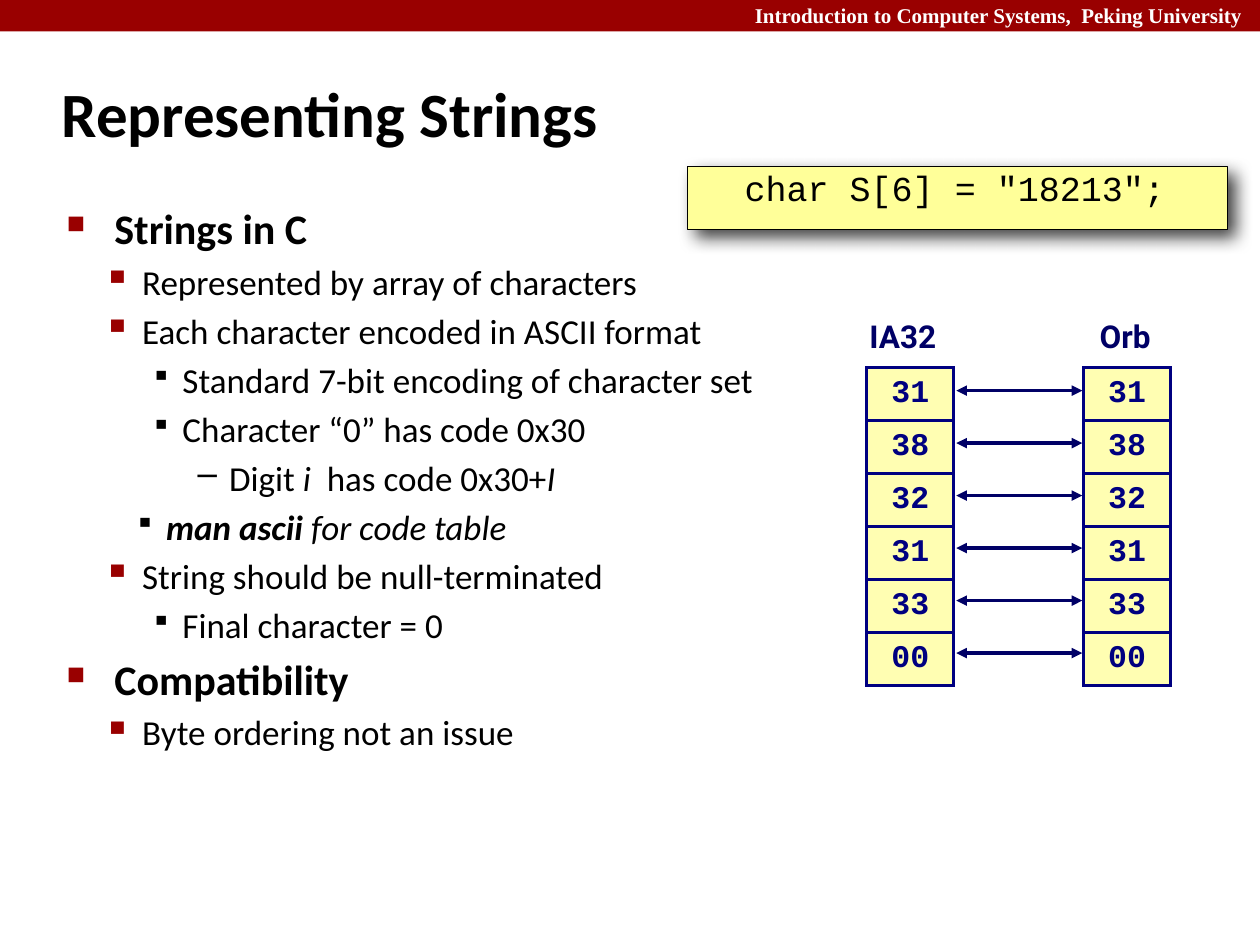
from lxml import etree
from pptx import Presentation
from pptx.dml.color import RGBColor
from pptx.enum.shapes import MSO_CONNECTOR, MSO_SHAPE
from pptx.enum.text import MSO_ANCHOR, PP_ALIGN
from pptx.oxml.ns import qn
from pptx.util import Inches, Pt

RECT = MSO_SHAPE.RECTANGLE
STRAIGHT = MSO_CONNECTOR.STRAIGHT
LEFT, CENTER, RIGHT = PP_ALIGN.LEFT, PP_ALIGN.CENTER, PP_ALIGN.RIGHT
TOP, MIDDLE = MSO_ANCHOR.TOP, MSO_ANCHOR.MIDDLE

COLORS = {
    "banner": "990000", "white": "FFFFFF", "text": "000000",
    "code": "FFFF99", "cell": "FFFEB2", "border": "000080", "label": "000066",
}

# Outline styles: level, left margin, hanging indent, bullet, its size %, its colour
TOPIC = (0, 0.38, 0.38, "■", 60, "banner")
POINT = (1, 0.6, 0.31, "▪", 110, "banner")
DETAIL = (2, 0.92, 0.25, "▪", 80, "text")
ASIDE = (2, 0.79, 0.25, "▪", 80, "text")
DASH = (3, 1.29, 0.25, "–", 100, "text")

# Each run is its text and its style: b for bold, i for italic
OUTLINE = [
    (TOPIC, [("Strings in C", "b")]),
    (POINT, [("Represented by array of characters", "")]),
    (POINT, [("Each character encoded in ASCII format", "")]),
    (DETAIL, [("Standard 7-bit encoding of character set", "")]),
    (DETAIL, [("Character “0” has code 0x30", "")]),
    (DASH, [("Digit ", ""), ("i", "i"), ("  has code 0x30+", ""), ("I", "i")]),
    (ASIDE, [("man ascii", "bi"), (" for code table", "i")]),
    (POINT, [("String should be null-terminated", "")]),
    (DETAIL, [("Final character = 0", "")]),
    (TOPIC, [("Compatibility", "b")]),
    (POINT, [("Byte ordering not an issue", "")]),
]
STRING_BYTES = ["31", "38", "32", "31", "33", "00"]


def rgb(name):
    return RGBColor.from_string(COLORS[name])


def add_xml(parent, tag, **attributes):
    return etree.SubElement(parent, qn(tag), attributes)


def add_run(paragraph, text, size, font, color, style=""):
    run = paragraph.add_run()
    run.text = text
    run.font.size = Pt(size)
    run.font.name = font
    run.font.color.rgb = rgb(color)
    run.font.bold = "b" in style
    run.font.italic = "i" in style


def set_insets(holder, left, top, right, bottom):
    holder.margin_left, holder.margin_top = Inches(left), Inches(top)
    holder.margin_right, holder.margin_bottom = Inches(right), Inches(bottom)


def add_frame(slide, box, wrap=True, anchor=TOP):
    frame = slide.shapes.add_textbox(*map(Inches, box)).text_frame
    frame.word_wrap = wrap
    frame.vertical_anchor = anchor
    return frame


def add_rectangle(slide, box, fill):
    rectangle = slide.shapes.add_shape(RECT, *map(Inches, box))
    rectangle.shadow.inherit = False
    rectangle.fill.solid()
    rectangle.fill.fore_color.rgb = rgb(fill)
    rectangle.line.fill.background()
    return rectangle


def add_banner(slide, box):
    left, top, width, height = box
    add_rectangle(slide, box, "banner")
    frame = add_frame(slide, (left + 4.5, top - 0.03, width - 4.5, height + 0.05))
    course = frame.paragraphs[0]
    course.alignment = RIGHT
    add_run(course, "Introduction to Computer Systems,  Peking University ",
            12, "Times New Roman", "white", "b")


def add_title(slide, box):
    title = add_frame(slide, box, anchor=MIDDLE).paragraphs[0]
    title.alignment = LEFT
    add_run(title, "Representing Strings", 36, "Calibri", "text", "b")


def add_code(slide, box):
    code = add_rectangle(slide, box, "code")
    code.line.color.rgb = rgb("text")
    code.line.width = Pt(0.5)
    # Soft shadow towards the lower right
    effects = code._element.spPr.find(qn("a:effectLst"))
    shadow = add_xml(effects, "a:outerShdw", blurRad=str(Pt(10)), dist=str(Pt(6)),
                     dir="2700000", algn="tl", rotWithShape="0")
    shade = add_xml(shadow, "a:srgbClr", val=COLORS["text"])
    add_xml(shade, "a:alpha", val="75000")
    frame = code.text_frame
    frame.word_wrap = True
    frame.vertical_anchor = TOP
    set_insets(frame, 0.03, 0.03, 0.07, 0.03)
    statement = frame.paragraphs[0]
    statement.alignment = CENTER
    statement.line_spacing = 0.95
    add_run(statement, 'char S[6] = "18213";', 20, "Courier New", "text")


def set_outline_style(paragraph, style, first):
    level, margin, hanging, bullet, bullet_size, bullet_color = style
    paragraph.level = level
    properties = paragraph._p.get_or_add_pPr()
    properties.set("marL", str(Inches(margin)))
    properties.set("indent", str(-Inches(hanging)))
    if not first:
        space = add_xml(properties, "a:spcBef")
        add_xml(space, "a:spcPct", val="20000")
    color = add_xml(properties, "a:buClr")
    add_xml(color, "a:srgbClr", val=COLORS[bullet_color])
    add_xml(properties, "a:buSzPct", val=str(bullet_size * 1000))
    add_xml(properties, "a:buChar", char=bullet)


def add_outline(slide, box):
    frame = add_frame(slide, box)
    for index, (style, runs) in enumerate(OUTLINE):
        entry = frame.add_paragraph() if index else frame.paragraphs[0]
        set_outline_style(entry, style, first=index == 0)
        size = 24 if style is TOPIC else 20
        for text, emphasis in runs:
            add_run(entry, text, size, "Calibri", "text", emphasis)


def add_byte_cell(cell, value):
    for side in ("a:lnL", "a:lnR", "a:lnT", "a:lnB"):
        border = add_xml(cell._tc.get_or_add_tcPr(), side, w=str(Pt(2)))
        fill = add_xml(border, "a:solidFill")
        add_xml(fill, "a:srgbClr", val=COLORS["border"])
    cell.fill.solid()
    cell.fill.fore_color.rgb = rgb("cell")
    cell.vertical_anchor = MIDDLE
    set_insets(cell, 0.06, 0.06, 0.06, 0.06)
    byte = cell.text_frame.paragraphs[0]
    byte.alignment = CENTER
    add_run(byte, value, 18, "Courier New", "border", "b")


def add_byte_column(slide, box):
    count = len(STRING_BYTES)
    table = slide.shapes.add_table(count, 1, *map(Inches, box)).table
    table.first_row = table.horz_banding = False
    for row, value in enumerate(STRING_BYTES):
        table.rows[row].height = Inches(box[3] / count)
        add_byte_cell(table.cell(row, 0), value)


def add_machine_label(slide, box, name):
    frame = add_frame(slide, box, wrap=False)
    set_insets(frame, 0.06, 0.06, 0.1, 0.06)
    label = frame.paragraphs[0]
    label.alignment = CENTER
    add_run(label, name, 18, "Roboto", "label", "b")


def add_match_arrow(slide, start, end, y):
    arrow = slide.shapes.add_connector(
        STRAIGHT, Inches(start), Inches(y), Inches(end), Inches(y))
    arrow.line.color.rgb = rgb("label")
    arrow.line.width = Pt(2)
    line = arrow.line._get_or_add_ln()
    add_xml(line, "a:headEnd", type="triangle")
    add_xml(line, "a:tailEnd", type="triangle")
    add_xml(arrow._element.spPr, "a:effectLst")


def add_comparison(slide, box):
    left, top, width, height = box
    column, label_height = 0.69, 0.46
    right = left + width - column
    row = (height - label_height) / len(STRING_BYTES)
    # Machine names
    add_machine_label(slide, (left - 0.04, top, 0.69, 0.42), "IA32")
    add_machine_label(slide, (right + 0.03, top, 0.64, 0.42), "Orb")
    # Matching bytes
    for index in range(len(STRING_BYTES)):
        add_match_arrow(slide, left + column + 0.02, right - 0.01,
                        top + label_height + 0.18 + index * row)
    # Memory columns
    for x in (left, right):
        add_byte_column(slide, (x, top + label_height, column, height - label_height))


def main():
    deck = Presentation()
    deck.slide_width, deck.slide_height = Inches(10), Inches(7.5)
    slide = deck.slides.add_slide(deck.slide_layouts[6])
    add_banner(slide, (0, 0, 10, 0.25))
    add_code(slide, (5.46, 1.32, 4.28, 0.5))
    add_title(slide, (0.39, 0.48, 8.3, 0.83))
    add_outline(slide, (0.43, 1.56, 8.64, 5.44))
    add_comparison(slide, (6.88, 2.46, 2.41, 2.96))
    deck.save("out.pptx")


if __name__ == "__main__":
    main()
